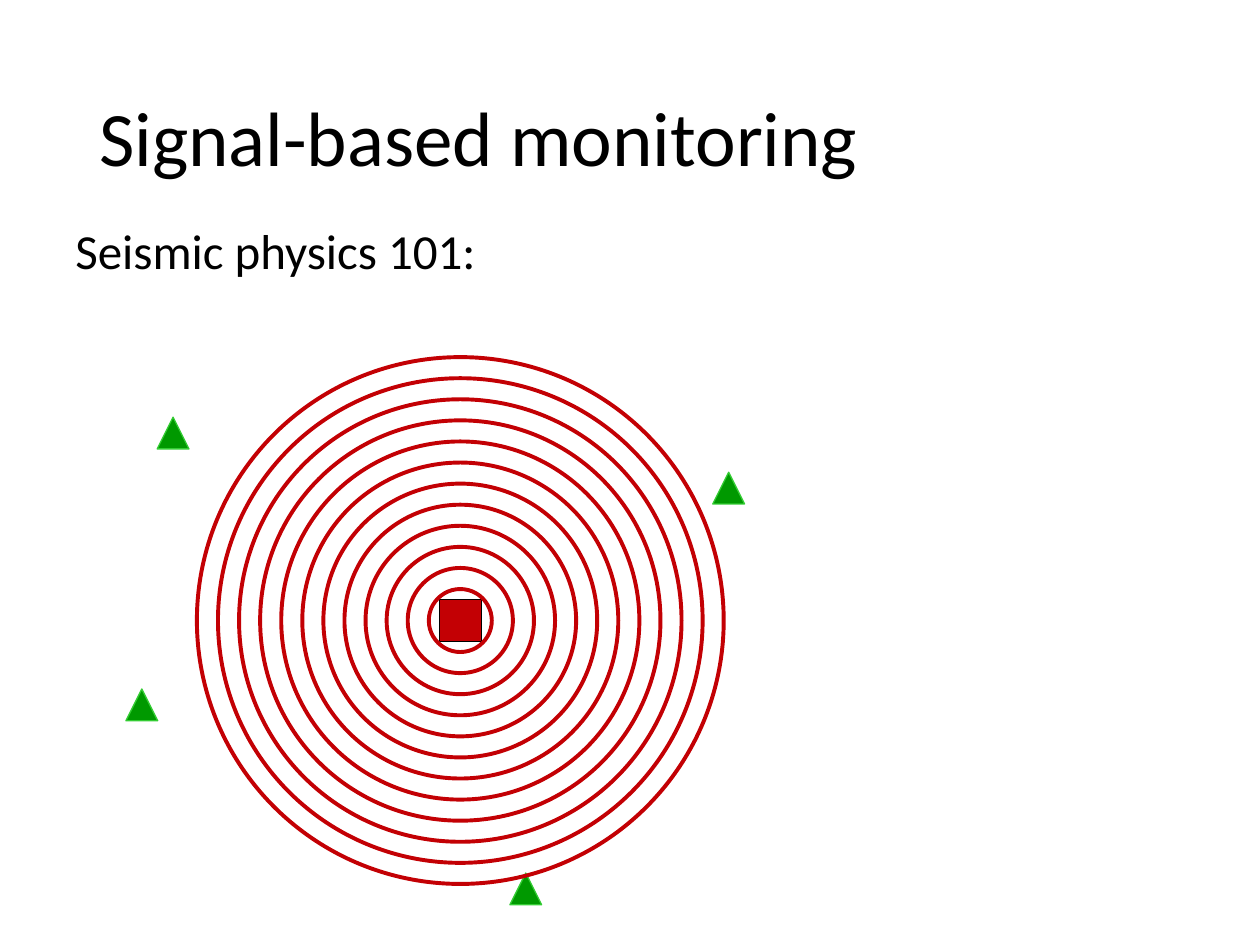
from pptx import Presentation
from pptx.dml.color import RGBColor
from pptx.enum.shapes import MSO_SHAPE
from pptx.enum.text import MSO_ANCHOR
from pptx.util import Cm, Pt

TRIANGLE = MSO_SHAPE.ISOSCELES_TRIANGLE
SQUARE = MSO_SHAPE.RECTANGLE
CIRCLE = MSO_SHAPE.OVAL
TOP, MIDDLE = MSO_ANCHOR.TOP, MSO_ANCHOR.MIDDLE

COLORS = {
    "text": "000000",
    "station": "009900",
    "station_edge": "33CC33",
    "source": "C30004",
    "source_edge": "000000",
}


class SlideBuilder:
    """Holds the style and the current slide; lengths are in centimetres."""

    font_name = "Calibri"
    line_spacing = 0.9

    def __init__(self, slide):
        self.slide = slide

    def color(self, name):
        return RGBColor.from_string(COLORS[name])

    def text(self, text, left, top, width, height, size, anchor=TOP):
        box = self.slide.shapes.add_textbox(Cm(left), Cm(top), Cm(width), Cm(height))
        text_frame = box.text_frame
        text_frame.word_wrap = True
        text_frame.vertical_anchor = anchor
        text_frame.text = text
        paragraph = text_frame.paragraphs[0]
        paragraph.line_spacing = self.line_spacing
        font = paragraph.runs[0].font
        font.name = self.font_name
        font.size = Pt(size)
        font.color.rgb = self.color("text")

    def marker(self, kind, center_x, center_y, size, line, line_width, fill=None):
        shape = self.slide.shapes.add_shape(
            kind, Cm(center_x - size / 2), Cm(center_y - size / 2), Cm(size), Cm(size))
        shape.shadow.inherit = False
        if fill:
            shape.fill.solid()
            shape.fill.fore_color.rgb = self.color(fill)
        else:
            shape.fill.background()
        shape.line.color.rgb = self.color(line)
        shape.line.width = Pt(line_width)

    def station(self, center_x, center_y):
        self.marker(TRIANGLE, center_x, center_y, 0.64, "station_edge", 0.75, "station")

    def source(self, center_x, center_y):
        self.marker(SQUARE, center_x, center_y, 0.85, "source_edge", 0.75, "source")

    def wavefronts(self, center_x, center_y, count, first, step):
        for index in range(count):
            self.marker(CIRCLE, center_x, center_y, first + index * step, "source", 2.25)


def main():
    presentation = Presentation()
    presentation.slide_width, presentation.slide_height = Cm(25.4), Cm(19.05)
    builder = SlideBuilder(presentation.slides.add_slide(presentation.slide_layouts[6]))

    # Headings
    builder.text("Signal-based monitoring", 1.75, 1.01, 21.9, 3.68, 44, MIDDLE)
    builder.text("Seismic physics 101:", 1.27, 4.45, 24.13, 12.57, 28)

    # Seismic stations
    for center in ((3.49, 8.73), (14.69, 9.84), (2.86, 14.21), (10.6, 17.92)):
        builder.station(*center)

    # Seismic source and its spreading waves
    epicenter = (9.28, 12.51)
    builder.source(*epicenter)
    builder.wavefronts(*epicenter, count=12, first=1.27, step=0.85)

    presentation.save("out.pptx")


if __name__ == "__main__":
    main()
